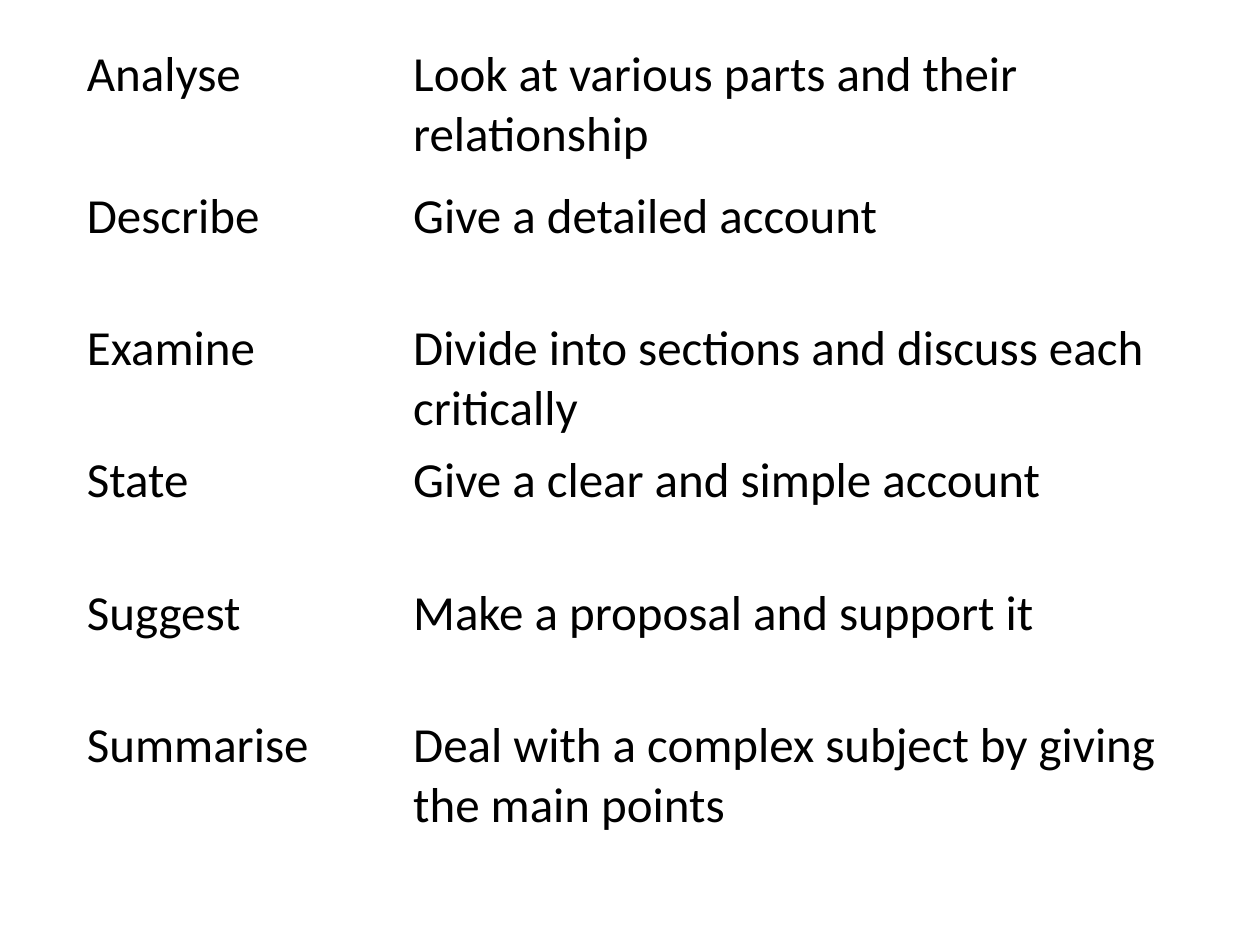
from pptx import Presentation
from pptx.dml.color import RGBColor
from pptx.enum.text import MSO_ANCHOR
from pptx.util import Inches, Pt

# Content: instruction word and its meaning
INSTRUCTIONS = [
    ("Analyse", "Look at various parts and their relationship"),
    ("Describe", "Give a detailed account"),
    ("Examine", "Divide into sections and discuss each critically"),
    ("State", "Give a clear and simple account"),
    ("Suggest", "Make a proposal and support it"),
    ("Summarise", "Deal with a complex subject by giving the main points"),
]

THEME = {
    "font": {"name": "Calibri", "size": Pt(28), "bold": False},
    "text": RGBColor(0, 0, 0),
    "cell": {
        "margin_left": Inches(0.07),
        "margin_right": Inches(0.07),
        "margin_top": Inches(0.05),
        "margin_bottom": Inches(0.05),
        "vertical_anchor": MSO_ANCHOR.TOP,
    },
    "plain_table": {"first_row": False, "horz_banding": False},
}

LEFT, TOP = 0.62, 0.31
COLUMN_WIDTHS = (2.59, 6.57)
ROW_HEIGHTS = [1.12] + [1.05] * (len(INSTRUCTIONS) - 1)


def apply_format(target, values):
    for attribute, value in values.items():
        setattr(target, attribute, value)


def fill_cell(cell, wording):
    apply_format(cell, THEME["cell"])
    cell.fill.background()
    paragraph = cell.text_frame.paragraphs[0]
    run = paragraph.add_run()
    run.text = wording
    apply_format(run.font, THEME["font"])
    run.font.color.rgb = THEME["text"]


def main():
    deck = Presentation()
    deck.slide_width, deck.slide_height = Inches(10), Inches(7.5)
    slide = deck.slides.add_slide(deck.slide_layouts[6])

    # Two-column glossary
    glossary = slide.shapes.add_table(
        len(INSTRUCTIONS), len(COLUMN_WIDTHS), Inches(LEFT), Inches(TOP),
        Inches(sum(COLUMN_WIDTHS)), Inches(sum(ROW_HEIGHTS))).table
    apply_format(glossary, THEME["plain_table"])
    for column, width in zip(glossary.columns, COLUMN_WIDTHS):
        column.width = Inches(width)

    # One row per instruction word
    for row, height, instruction in zip(glossary.rows, ROW_HEIGHTS, INSTRUCTIONS):
        row.height = Inches(height)
        for cell, wording in zip(row.cells, instruction):
            fill_cell(cell, wording)

    deck.save("out.pptx")


if __name__ == "__main__":
    main()
